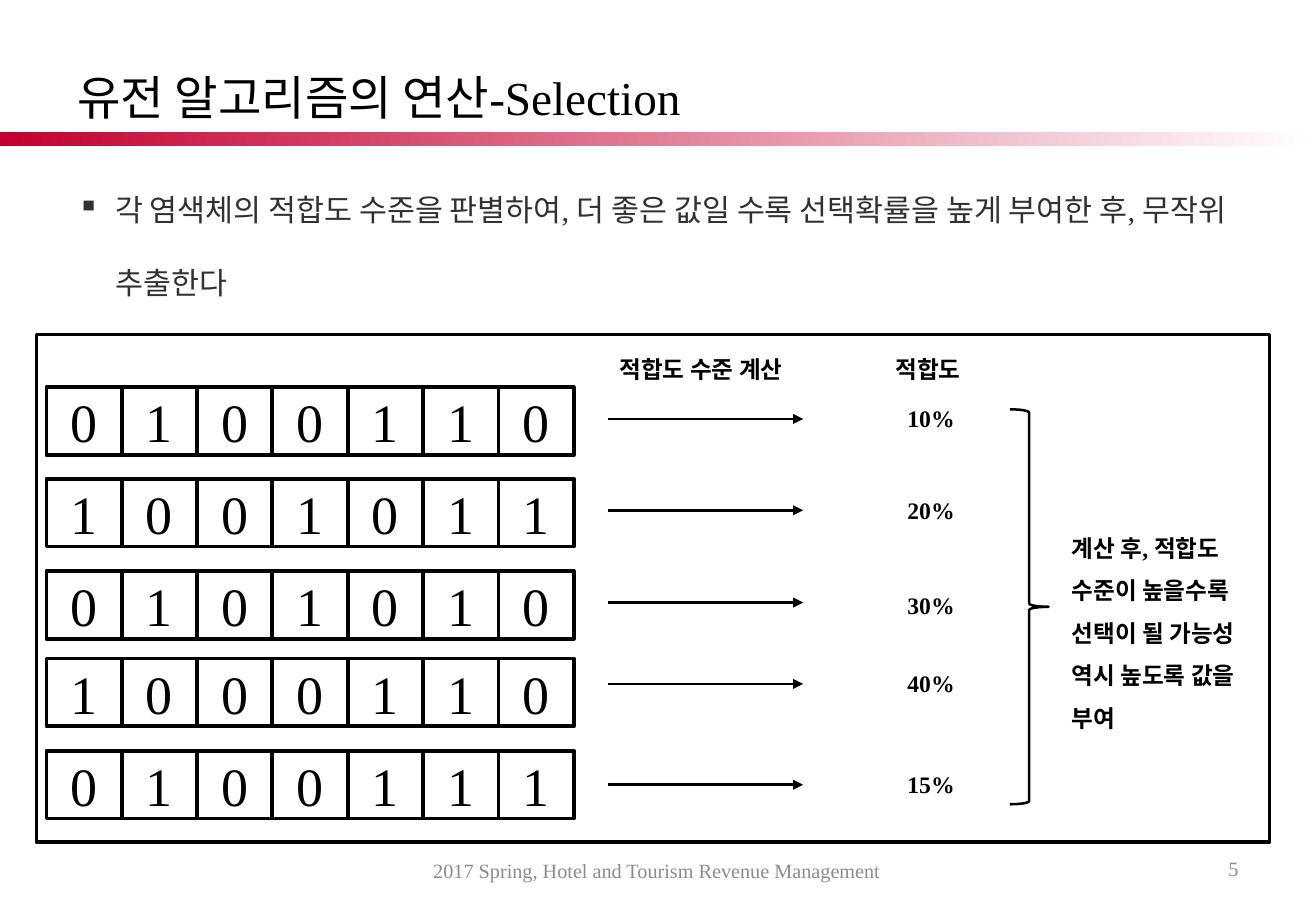
"""Build the slide on the selection step of a genetic algorithm."""
from lxml.etree import SubElement
from pptx import Presentation
from pptx.dml.color import RGBColor
from pptx.enum.shapes import MSO_CONNECTOR as Connector, MSO_SHAPE as Shape
from pptx.enum.text import MSO_ANCHOR as Anchor, PP_ALIGN as Align
from pptx.oxml.ns import qn
from pptx.util import Cm, Pt

FONT = "Times New Roman"
COLORS = {"ink": "000000", "body": "313131", "footer": "8C8C8C",
          "accent": "C3002F", "paper": "FFFFFF"}
CELL_LEFT, CELL_WIDTH, CELL_HEIGHT = 0.97, 1.575, 1.42
CHROMOSOMES = [
    ("0100110", "10%", 8.1, 8.76, 8.33),
    ("1001011", "20%", 10.01, 10.67, 10.24),
    ("0101010", "30%", 11.94, 12.6, 12.24),
    ("1000110", "40%", 13.77, 14.3, 13.87),
    ("0100111", "15%", 15.7, 16.41, 15.98),
]


def color(name):
    return RGBColor.from_string(COLORS[name])


def write(shape, lines, size, ink="ink", bold=False, align=Align.LEFT,
          anchor=Anchor.TOP, spacing=None, wrap=True):
    frame = shape.text_frame
    frame.text = "\n".join(lines)
    frame.word_wrap = wrap
    frame.vertical_anchor = anchor
    for para in frame.paragraphs:
        para.alignment = align
        para.line_spacing = spacing
        para.font.name = FONT
        para.font.size = Pt(size)
        para.font.bold = bold
        para.font.color.rgb = color(ink)


def add_text(page, place, lines, size, **style):
    box = page.shapes.add_textbox(*map(Cm, place))
    write(box, lines, size, **style)
    return box


def add_label(page, place, text):
    add_text(page, place, [text], 14, bold=True, wrap=False)


def add_outline(shapes, kind, place, weight):
    shape = shapes.add_shape(kind, *map(Cm, place))
    shape.shadow.inherit = False
    shape.fill.background()
    shape.line.color.rgb = color("ink")
    shape.line.width = Pt(weight)
    return shape


def add_gradient_bar(page):
    bar = page.shapes.add_shape(Shape.RECTANGLE, 0, Cm(2.77), Cm(27.51), Cm(0.28))
    bar.shadow.inherit = False
    bar.line.fill.background()
    bar.fill.gradient()
    bar.fill.gradient_angle = 0
    for stop, name in zip(bar.fill.gradient_stops, ("accent", "paper")):
        stop.color.rgb = color(name)


def add_bullet(para, symbol, indent):
    properties = para._p.get_or_add_pPr()
    properties.set("marL", str(indent))
    properties.set("indent", str(-indent))
    bullet = properties.makeelement(qn("a:buChar"), {"char": symbol})
    properties.insert_element_before(bullet, "a:tabLst", "a:defRPr", "a:extLst")


def add_arrow(page, left, right, height):
    arrow = page.shapes.add_connector(
        Connector.STRAIGHT, Cm(left), Cm(height), Cm(right), Cm(height))
    arrow.line.color.rgb = color("ink")
    arrow.line.width = Pt(1.5)
    SubElement(arrow.line._get_or_add_ln(), qn("a:tailEnd"), type="triangle")
    SubElement(arrow._element.spPr, qn("a:effectLst"))


def add_chromosome(page, genes, top):
    group = page.shapes.add_group_shape()
    for column, gene in enumerate(genes):
        place = (CELL_LEFT + column * CELL_WIDTH, top, CELL_WIDTH, CELL_HEIGHT)
        cell = add_outline(group.shapes, Shape.RECTANGLE, place, 2.25)
        write(cell, [gene], 32, align=Align.CENTER, anchor=Anchor.MIDDLE)


def add_frame_texts(page):
    body = add_text(
        page, (1.37, 3.12, 25.5, 14.4),
        ["각 염색체의 적합도 수준을 판별하여, 더 좋은 값일 수록 "
         "선택확률을 높게 부여한 후, 무작위 추출한다"],
        18, ink="body", spacing=2.0)
    add_bullet(body.text_frame.paragraphs[0], "▪", Cm(0.79))
    add_text(page, (1.37, 1.32, 24.77, 1.42), ["유전 알고리즘의 연산-Selection"],
             28, anchor=Anchor.MIDDLE)
    add_gradient_bar(page)
    add_text(page, (19.71, 17.65, 6.43, 1.02), ["5"], 12, ink="footer",
             align=Align.RIGHT, anchor=Anchor.MIDDLE)
    add_text(page, (7.87, 17.7, 11.73, 1.02),
             ["2017 Spring, Hotel and Tourism Revenue Management"], 12,
             ink="footer", align=Align.CENTER, anchor=Anchor.MIDDLE)


def add_selection_diagram(page):
    add_label(page, (12.7, 7.29, 4.24, 0.86), "적합도 수준 계산")
    add_label(page, (18.47, 7.29, 2.01, 0.86), "적합도")
    for genes, fitness, cell_top, arrow_height, fitness_top in CHROMOSOMES:
        add_chromosome(page, genes, cell_top)
        add_arrow(page, 12.7, 16.79, arrow_height)
        add_label(page, (18.72, fitness_top, 1.5, 0.86), fitness)
    add_outline(page.shapes, Shape.RIGHT_BRACE, (21.11, 8.56, 0.81, 8.26), 1.5)
    add_text(page, (22.15, 10.74, 4.6, 4.65),
             ["계산 후, 적합도", "수준이 높을수록", "선택이 될 가능성 역시 높도록 값을 부여"],
             14, bold=True, spacing=1.5)
    add_outline(page.shapes, Shape.RECTANGLE, (0.76, 6.99, 25.78, 10.62), 2)


def main():
    deck = Presentation()
    deck.slide_width, deck.slide_height = Cm(27.51), Cm(19.05)
    page = deck.slides.add_slide(deck.slide_layouts[6])
    add_frame_texts(page)
    add_selection_diagram(page)
    deck.save("out.pptx")


if __name__ == "__main__":
    main()
